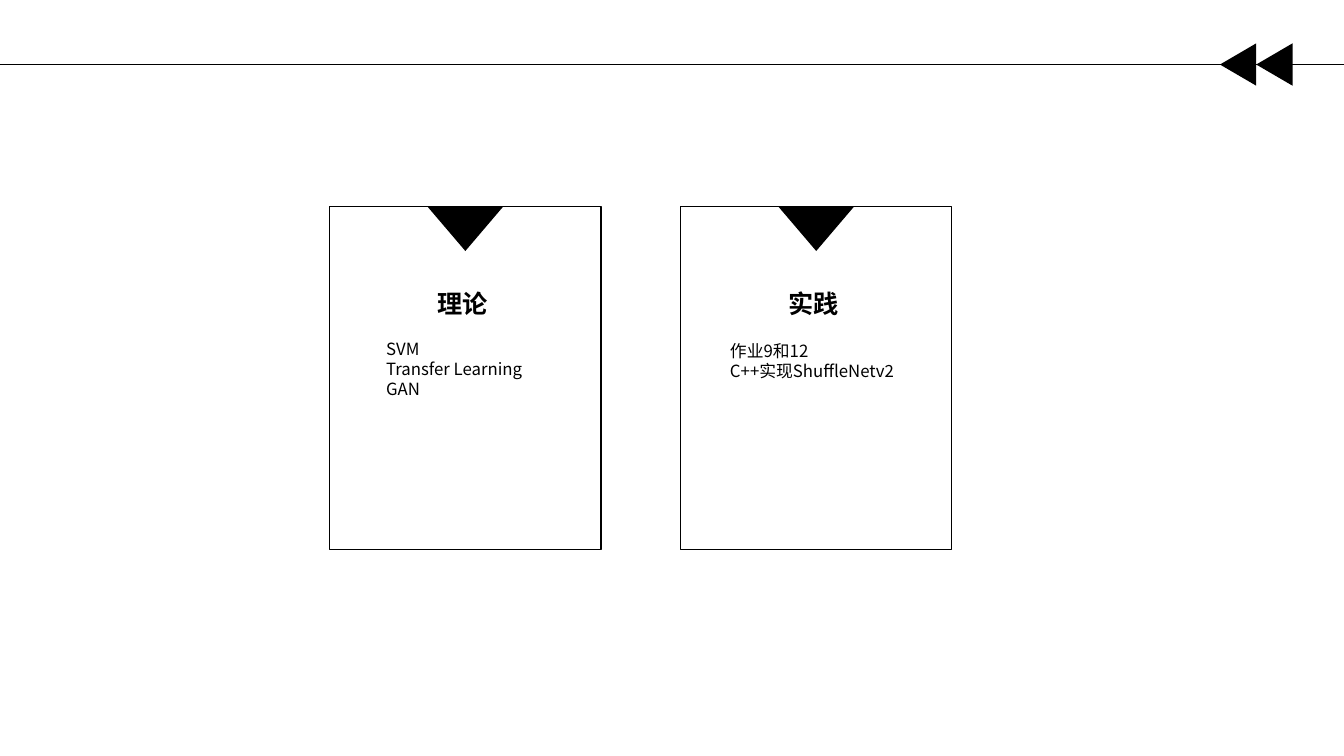
import pptx
import pptx.dml.color
import pptx.enum.shapes
import pptx.enum.text
import pptx.oxml
import pptx.oxml.ns
import pptx.util

Inches = pptx.util.Inches
SHAPES = pptx.enum.shapes.MSO_SHAPE

# Content: list offsets are measured from the card's top left corner
CARDS = [
    {"heading": "理论", "topics": ["SVM", "Transfer Learning", "GAN"],
     "list_offset": (0.46, 1.26), "list_height": 0.71},
    {"heading": "实践", "topics": ["作业9和12", "C++实现ShuffleNetv2"],
     "list_offset": (0.39, 1.28), "list_height": 0.5},
]

THEME = {
    "ink": pptx.dml.color.RGBColor(0, 0, 0),
    "font": "Noto Sans CJK SC",
    "heading": {"size": pptx.util.Pt(18), "bold": True},
    "topic": {"size": pptx.util.Pt(12), "bold": False},
    "rule_width": pptx.util.Pt(0.5),
    "card_width": pptx.util.Pt(1),
}
FRAME_FORMAT = {
    "word_wrap": True,
    "auto_size": pptx.enum.text.MSO_AUTO_SIZE.NONE,
    "vertical_anchor": pptx.enum.text.MSO_ANCHOR.TOP,
    "margin_left": Inches(0.1), "margin_right": Inches(0.1),
    "margin_top": Inches(0.05), "margin_bottom": Inches(0.05),
}
PARAGRAPH_FORMAT = {
    "alignment": pptx.enum.text.PP_ALIGN.LEFT,
    "line_spacing": 1.0,
    "space_before": pptx.util.Pt(0),
    "space_after": pptx.util.Pt(0),
}

# Layout in inches
SLIDE_W, SLIDE_H = 13.33, 7.5
RULE_Y = 0.64
ARROW_W, ARROW_H = 0.42, 0.36
ARROW_LEFT = 12.07
CARD_LEFT, CARD_TOP, CARD_W, CARD_H = 3.27, 2.05, 2.69, 3.4
CARD_STEP = 3.48
MARKER_W, MARKER_H = 0.75, 0.44
HEADING_DROP, HEADING_H, TEXT_W = 0.76, 0.4, 2.19


def apply_format(target, values):
    for name, value in values.items():
        setattr(target, name, value)


def add_triangle(slide, left, top, width, height, rotation):
    triangle = slide.shapes.add_shape(
        SHAPES.ISOSCELES_TRIANGLE, *map(Inches, (left, top, width, height)))
    triangle.rotation = rotation
    triangle.shadow.inherit = False
    triangle.fill.solid()
    triangle.fill.fore_color.rgb = THEME["ink"]
    triangle.line.fill.background()


def fill_text(holder, lines, style, box):
    apply_format(holder, dict(zip(("left", "top", "width", "height"),
                                  map(Inches, box))))
    frame = holder.text_frame
    frame.text = "\n".join(lines)
    apply_format(frame, FRAME_FORMAT)
    for paragraph in frame.paragraphs:
        apply_format(paragraph, PARAGRAPH_FORMAT)
        properties = paragraph._p.get_or_add_pPr()
        properties.set("marL", "0")
        properties.set("indent", "0")
        properties.append(pptx.oxml.parse_xml(
            f'<a:buNone {pptx.oxml.ns.nsdecls("a")}/>'))
        for run in paragraph.runs:
            apply_format(run.font, {**style, "name": THEME["font"]})
            run.font.color.rgb = THEME["ink"]
            # East Asian characters take their own typeface entry
            run.font._element.append(pptx.oxml.parse_xml(
                f'<a:ea {pptx.oxml.ns.nsdecls("a")} typeface="{THEME["font"]}"/>'))


def add_header(slide):
    rule = slide.shapes.add_connector(
        pptx.enum.shapes.MSO_CONNECTOR.STRAIGHT,
        *map(Inches, (0, RULE_Y, SLIDE_W, RULE_Y)))
    rule.line.color.rgb = THEME["ink"]
    rule.line.width = THEME["rule_width"]
    rule._element.spPr.append(pptx.oxml.parse_xml(
        f'<a:effectLst {pptx.oxml.ns.nsdecls("a")}/>'))
    # Turned sideways, each arrow is as wide as its unturned height
    for i in range(2):
        add_triangle(slide, ARROW_LEFT + i * ARROW_H, RULE_Y - ARROW_H / 2,
                     ARROW_W, ARROW_H, 270)


def add_card(slide, card, left, heading, topics):
    border = slide.shapes.add_shape(
        SHAPES.RECTANGLE, *map(Inches, (left, CARD_TOP, CARD_W, CARD_H)))
    border.shadow.inherit = False
    border.fill.background()
    border.line.color.rgb = THEME["ink"]
    border.line.width = THEME["card_width"]

    marker_left = left + (CARD_W - MARKER_W) / 2
    add_triangle(slide, marker_left, CARD_TOP, MARKER_W, MARKER_H, 180)

    fill_text(heading, [card["heading"]], THEME["heading"],
              (marker_left, CARD_TOP + HEADING_DROP, TEXT_W, HEADING_H))
    dx, dy = card["list_offset"]
    fill_text(topics, card["topics"], THEME["topic"],
              (left + dx, CARD_TOP + dy, TEXT_W, card["list_height"]))


def main():
    deck = pptx.Presentation()
    deck.slide_width, deck.slide_height = Inches(SLIDE_W), Inches(SLIDE_H)

    # Comparison layout: a heading and a list for each card, no slide title
    slide = deck.slides.add_slide(deck.slide_layouts.get_by_name("Comparison"))
    title = slide.shapes.title._element
    title.getparent().remove(title)
    bodies = list(slide.placeholders)

    add_header(slide)
    for i, card in enumerate(CARDS):
        heading, topics = bodies[2 * i:2 * i + 2]
        add_card(slide, card, CARD_LEFT + i * CARD_STEP, heading, topics)

    deck.save("out.pptx")


if __name__ == "__main__":
    main()
